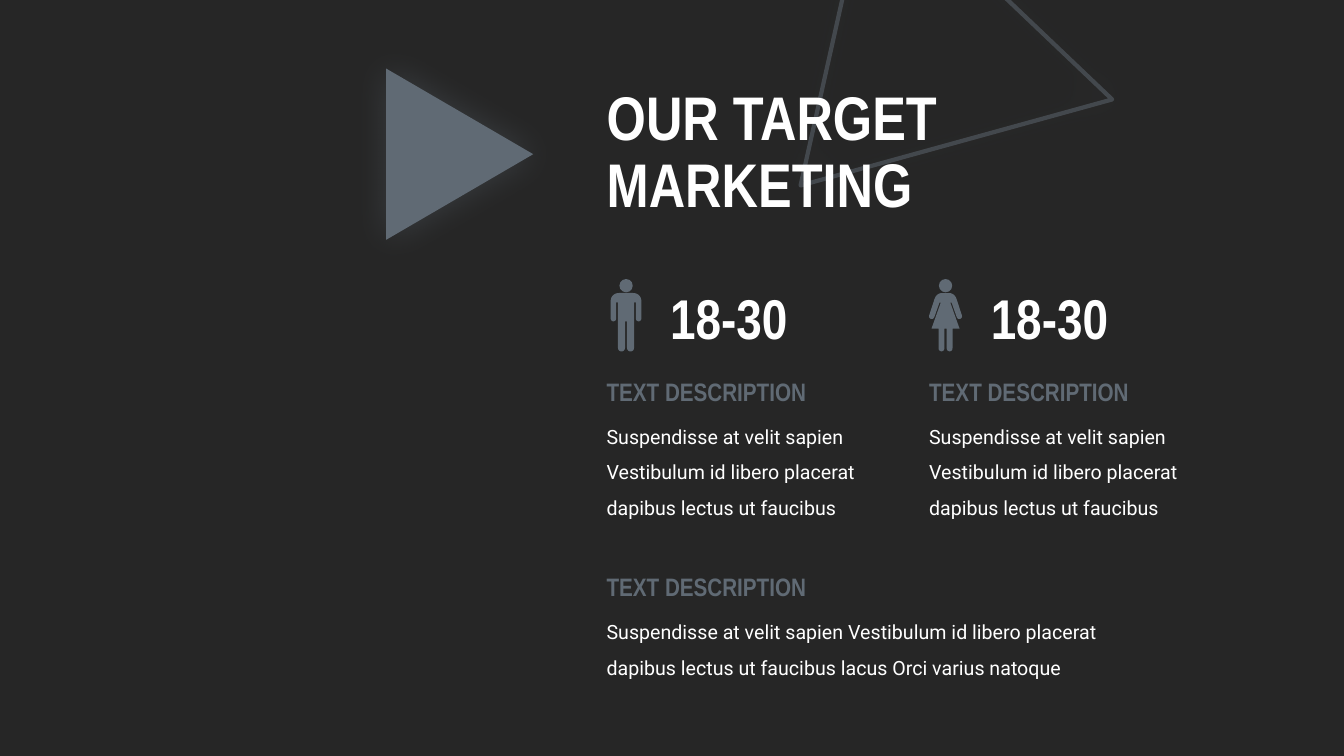
import lxml.etree
import pptx
import pptx.dml.color
import pptx.enum.shapes
import pptx.enum.text
import pptx.oxml
import pptx.oxml.ns
import pptx.util

Pt = pptx.util.Pt
SHAPES = pptx.enum.shapes.MSO_SHAPE
SLATE, WHITE, CHARCOAL = "606A74", "FFFFFF", "262626"
HEADING_FONT, BODY_FONT = "Arial Narrow", "Roboto"
HEADING = "TEXT DESCRIPTION"
DESCRIPTION = "Suspendisse at velit sapien Vestibulum id libero placerat dapibus lectus ut faucibus"

# Half outlines: (x, y) is a corner, six numbers are a cubic curve.
MAN = [(0, 0), (5, 0), (8.5, 0, 11, 2.5, 11, 6), (11, 18),
       (11, 21, 7, 21, 7, 18), (7, 6.8), (5.8, 6.8), (5.8, 39),
       (5.8, 42.7, 0.7, 42.7, 0.7, 39), (0.7, 20.2), (0, 20.2)]
WOMAN = [(0, 0), (2.3, 0), (4.2, 0, 6.8, 0.8, 8, 4.6), (11.7, 16),
         (12.4, 18.6, 8.8, 19.6, 8, 17.2), (4.3, 6.8), (3.4, 6.8),
         (10, 25.4), (5, 25.4), (5, 39.4),
         (5, 42.4, 0.8, 42.4, 0.8, 39.4), (0.8, 25.4), (0, 25.4)]


def colour(value):
    return pptx.dml.color.RGBColor.from_string(value)


def paint(shape, fill):
    shape.shadow.inherit = False
    shape.fill.solid()
    shape.fill.fore_color.rgb = colour(fill)
    shape.line.fill.background()


def add_glow(shape, blur, opacity):
    effects = shape._element.spPr.find(pptx.oxml.ns.qn("a:effectLst"))
    effects.append(pptx.oxml.parse_xml(
        f'<a:outerShdw {pptx.oxml.ns.nsdecls("a")} blurRad="{Pt(blur)}" dist="0" dir="0" '
        f'algn="ctr" rotWithShape="0"><a:srgbClr val="{SLATE}">'
        f'<a:alpha val="{opacity * 1000}"/></a:srgbClr></a:outerShdw>'))


def add_triangle(slide, left, top, width, height, rotation, outline=None):
    shape = slide.shapes.add_shape(
        SHAPES.ISOSCELES_TRIANGLE, Pt(left), Pt(top), Pt(width), Pt(height))
    shape.rotation = rotation
    paint(shape, SLATE)
    if outline:
        shape.fill.background()
        shape.line.width = Pt(outline)
        shape.line.color.rgb = colour(SLATE)
        line_colour = shape.line._ln.find(".//" + pptx.oxml.ns.qn("a:srgbClr"))
        lxml.etree.SubElement(line_colour, pptx.oxml.ns.qn("a:alpha"), val="50000")
    add_glow(shape, 25, 35)
    return shape


def write_text(shape, text, font=BODY_FONT, size=14, fill=WHITE, bold=False, spacing=1.0):
    frame = shape.text_frame
    frame.word_wrap = True
    paragraph = frame.paragraphs[0]
    paragraph.text = text
    paragraph.alignment = pptx.enum.text.PP_ALIGN.LEFT
    paragraph.line_spacing = spacing
    for run in paragraph.runs:
        run.font.name = font
        run.font.size = Pt(size)
        run.font.bold = bold
        run.font.color.rgb = colour(fill)


def add_text(slide, text, left, top, width, height, **text_format):
    shape = slide.shapes.add_textbox(Pt(left), Pt(top), Pt(width), Pt(height))
    write_text(shape, text, **text_format)
    shape.text_frame.auto_size = pptx.enum.text.MSO_AUTO_SIZE.SHAPE_TO_FIT_TEXT


def add_title(slide, text):
    title = slide.shapes.title
    title.left, title.top, title.width, title.height = Pt(426.2), Pt(53.3), Pt(404.6), Pt(113.8)
    write_text(title, text, font=HEADING_FONT, size=44, bold=True, spacing=0.9)
    title.text_frame.vertical_anchor = pptx.enum.text.MSO_ANCHOR.MIDDLE
    title.text_frame.auto_size = pptx.enum.text.MSO_AUTO_SIZE.NONE


def flatten(outline, steps=8):
    points = []
    for item in outline:
        if len(item) == 2:
            points.append(item)
            continue
        controls = [points[-1], item[:2], item[2:4], item[4:]]
        for step in range(1, steps + 1):
            t = step / steps
            weights = ((1 - t) ** 3, 3 * t * (1 - t) ** 2, 3 * t * t * (1 - t), t ** 3)
            points.append(tuple(
                sum(weight * control[axis] for weight, control in zip(weights, controls))
                for axis in (0, 1)))
    return points


def add_figure(slide, half_outline, centre, top):
    half = flatten(half_outline)
    whole = half + [(-x, y) for x, y in reversed(half)]
    points = [(Pt(centre + x), Pt(top + y)) for x, y in whole]
    group = slide.shapes.add_group_shape()
    head = group.shapes.add_shape(
        SHAPES.OVAL, Pt(centre - 4.75), Pt(top - 10), Pt(9.5), Pt(9.5))
    builder = group.shapes.build_freeform(*points[0])
    builder.add_line_segments(points[1:], close=True)
    for part in (head, builder.convert_to_shape()):
        paint(part, SLATE)


def add_section(slide, left, top, width, height, text):
    add_text(slide, text, left, top + 26.6, width, height, spacing=1.5)
    add_text(slide, HEADING, left, top, 176.4, 28.8,
             font=HEADING_FONT, size=18, fill=SLATE, bold=True)


def add_audience(slide, figure, centre, age_left, section_left):
    add_figure(slide, figure, centre, 209.3)
    add_text(slide, "18-30", age_left, 198.7, 128.9, 55.4,
             font=HEADING_FONT, size=40, bold=True)
    add_section(slide, section_left, 265, 205.9, 80.6, DESCRIPTION)


def main():
    presentation = pptx.Presentation()
    presentation.slide_width, presentation.slide_height = Pt(960), Pt(540)
    slide = presentation.slides.add_slide(presentation.slide_layouts[5])
    slide.background.fill.solid()
    slide.background.fill.fore_color.rgb = colour(CHARCOAL)

    outline = add_triangle(slide, 521.3, -38.2, 237.6, 198, 223.6, outline=3)
    add_title(slide, "OUR TARGET\vMARKETING")
    slide.shapes.title._element.addprevious(outline._element)
    add_triangle(slide, 267.1, 57.6, 122.4, 105.1, 90)

    add_audience(slide, MAN, 447.2, 471.6, 426.2)
    add_audience(slide, WOMAN, 675.4, 700.6, 656.6)
    add_section(slide, 426.2, 404.6, 369.4, 55.4,
                DESCRIPTION + " lacus Orci varius natoque")
    presentation.save("out.pptx")


if __name__ == "__main__":
    main()
